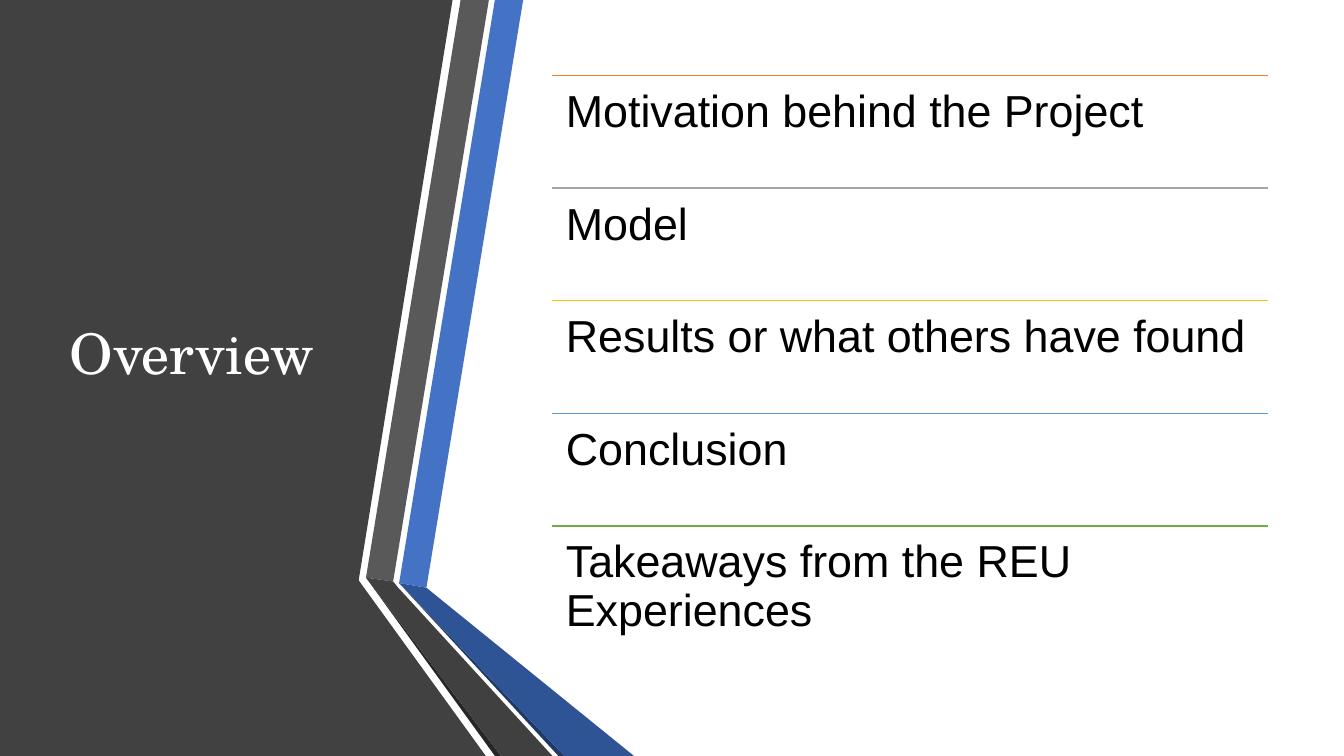
from dataclasses import dataclass

from pptx import Presentation, util as u
from pptx.dml.color import RGBColor
from pptx.enum import shapes, text
from pptx.oxml import ns, xmlchemy


@dataclass(frozen=True)
class Theme:
    """Colours, fonts and sizes of the slide."""
    panel: str = "414141"
    blue: str = "4472C4"
    grey: str = "595959"
    black: str = "262626"
    navy: str = "1F3864"
    deep: str = "2F5496"
    coal: str = "404040"
    white: str = "FFFFFF"
    ink: str = "000000"
    rules: tuple = ("ED7D31", "A5A5A5", "FFC000", "599BD5", "70AD47")
    serif: str = "TeX Gyre Schola"
    sans: str = "Arial"
    head: float = 40
    body: float = 32


T = Theme()
TOPICS = (
    "Motivation behind the Project",
    "Model",
    "Results or what others have found",
    "Conclusion",
    "Takeaways from the REU Experiences",
)


def write(shape, words, *, font, size, color, inset, anchor):
    """Put formatted, wrapped text into a shape."""
    frame = shape.text_frame
    frame.word_wrap = True
    frame.auto_size = text.MSO_AUTO_SIZE.NONE
    frame.vertical_anchor = anchor
    frame.margin_left = frame.margin_right = u.Pt(inset[0])
    frame.margin_top = frame.margin_bottom = u.Pt(inset[1])
    para = frame.paragraphs[0]
    para.alignment = text.PP_ALIGN.LEFT
    para.line_spacing = 0.9
    para.space_before = u.Pt(0)
    run = para.add_run()
    run.text = words
    run.font.name = font
    run.font.size = u.Pt(size)
    run.font.color.rgb = RGBColor.from_string(color)


def shade(owner, box, points, color):
    """Draw a filled polygon whose points start at the corner of the box."""
    left, top = box[:2]
    first, *rest = [(u.Pt(left + x), u.Pt(top + y)) for x, y in points]
    pen = owner.build_freeform(*first)
    pen.add_line_segments(rest, close=True)
    shape = pen.convert_to_shape()
    shape.shadow.inherit = False
    shape.fill.solid()
    shape.fill.fore_color.rgb = RGBColor.from_string(color)
    shape.line.fill.background()


def panel(slide, box):
    """Draw the dark panel with its bent right edge."""
    wide, high = box[2:]
    edge = [(0, 0), (wide - 23.7, 0), (256.3, 414), (256.3, 414.7),
            (wide, high), (0, high)]
    shade(slide.shapes, box, edge, T.panel)


def ribbon(slide, box):
    """Draw the two folded bands beside the panel."""
    high = box[3]
    grey, fold = (0, 412.6), (19.4, 415.4)
    blue, bend = (23.7, 416.5), (43.2, 419.8)
    bands = (
        ([blue, bend, (112.3, 0), (92.1, 0)], T.blue),
        ([(87.8, 0), (67.6, 0), grey, fold], T.grey),
        ([grey, (92.1, high), (96.4, high)], T.black),
        ([blue, (137.5, high), (141.8, high)], T.navy),
        ([blue, (141.8, high), (191.5, high), bend], T.deep),
        ([(133.2, high), (23, 419.8), fold, grey, (96.4, high)], T.coal),
    )
    group = slide.shapes.add_group_shape()
    for points, color in bands:
        shade(group.shapes, box, points, color)


def heading(slide, box, words):
    """Set the title in its box, in front of the panel."""
    title = slide.shapes.title
    title.left, title.top, title.width, title.height = map(u.Pt, box)
    slide.shapes.element.append(title.element)
    write(title, words, font=T.serif, size=T.head, color=T.white,
          inset=(7.2, 3.6), anchor=text.MSO_ANCHOR.MIDDLE)


def agenda(slide, box, topics):
    """Stack the topics in equal rows, each below a coloured rule."""
    left, top, wide, high = box
    row = high / len(topics)
    group = slide.shapes.add_group_shape().shapes
    for i, (words, color) in enumerate(zip(topics, T.rules)):
        y = top + i * row
        rule = group.add_connector(
            shapes.MSO_CONNECTOR.STRAIGHT,
            u.Pt(left), u.Pt(y), u.Pt(left + wide), u.Pt(y))
        rule.line.color.rgb = RGBColor.from_string(color)
        rule.line.width = u.Pt(1)
        props = rule.element.find(ns.qn("p:spPr"))
        props.append(xmlchemy.OxmlElement("a:effectLst"))
        label = group.add_textbox(u.Pt(left), u.Pt(y), u.Pt(wide), u.Pt(row))
        write(label, words, font=T.sans, size=T.body, color=T.ink,
              inset=(9.6, 9.6), anchor=text.MSO_ANCHOR.TOP)


def main():
    """Build and save the overview slide."""
    deck = Presentation()
    deck.slide_width, deck.slide_height = u.Pt(960), u.Pt(540)
    slide = deck.slides.add_slide(deck.slide_layouts[5])
    panel(slide, (0, 0, 347, 540))
    ribbon(slide, (261.4, 0, 191.5, 540))
    heading(slide, (42.5, 54, 218.9, 401.8), "Overview")
    agenda(slide, (394.6, 54, 511.2, 402), TOPICS)
    deck.save("out.pptx")


if __name__ == "__main__":
    main()
